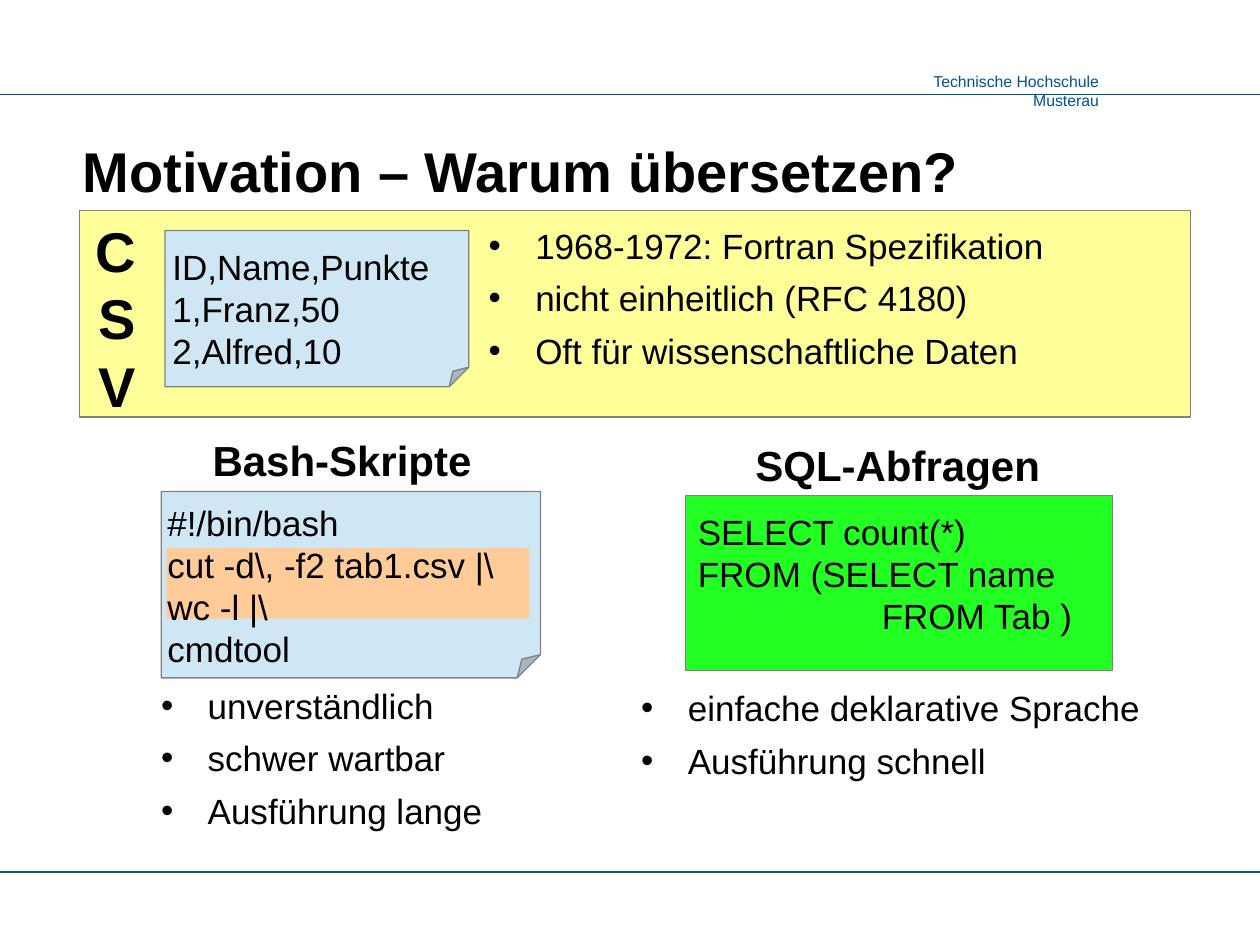
from lxml.etree import SubElement
from pptx import Presentation
from pptx.dml.color import RGBColor
from pptx.enum.shapes import MSO_CONNECTOR, MSO_SHAPE
from pptx.enum.text import MSO_ANCHOR, PP_ALIGN
from pptx.oxml.ns import qn
from pptx.util import Inches, Pt

BLUE, BLACK, GREY = "005293", "000000", "808080"
NOTE, YELLOW, ORANGE, GREEN = "CFE7F5", "FFFF99", "FFCC99", "23FF23"
LEFT, MID, RIGHT = PP_ALIGN.LEFT, PP_ALIGN.CENTER, PP_ALIGN.RIGHT


def color(code):
    return RGBColor.from_string(code)


def write(frame, lines, size=20, ink=BLACK, bold=False, align=LEFT,
          font="Arial", gap=0):
    for i, line in enumerate(lines):
        par = frame.paragraphs[0] if i == 0 else frame.add_paragraph()
        par.alignment = align
        par.space_before = Pt(gap)
        run = par.add_run()
        run.text = line
        run.font.name = font
        run.font.size = Pt(size)
        run.font.bold = bold
        run.font.color.rgb = color(ink)


def indent(par, left, first=0):
    """Set the left margin and first-line offset in inches."""
    props = par._p.get_or_add_pPr()
    props.set("marL", str(Inches(left)))
    props.set("indent", str(Inches(first)))
    return props


class Deck:
    def __init__(self):
        self.prs = Presentation()
        self.prs.slide_width = Inches(10)
        self.prs.slide_height = Inches(7.5)
        self.slide = self.prs.slides.add_slide(self.prs.slide_layouts[6])

    def text(self, x, y, w, h, *lines, anchor=MSO_ANCHOR.TOP, wrap=True,
             **style):
        box = self.slide.shapes.add_textbox(
            Inches(x), Inches(y), Inches(w), Inches(h))
        frame = box.text_frame
        frame.word_wrap = wrap
        frame.vertical_anchor = anchor
        write(frame, lines, **style)
        return frame

    def list(self, x, y, w, h, *lines):
        frame = self.text(x, y, w, h, *lines, gap=6)
        for par in frame.paragraphs:
            props = indent(par, 0.37, -0.37)
            SubElement(props, qn("a:buFont"), typeface="Arial")
            SubElement(props, qn("a:buChar"), char="•")

    def shape(self, x, y, w, h, fill, kind=MSO_SHAPE.RECTANGLE, edge=GREY):
        item = self.slide.shapes.add_shape(
            kind, Inches(x), Inches(y), Inches(w), Inches(h))
        item.shadow.inherit = False
        item.fill.solid()
        item.fill.fore_color.rgb = color(fill)
        if edge:
            item.line.color.rgb = color(edge)
            item.line.width = Pt(0)
        else:
            item.line.fill.background()
        return item

    def note(self, x, y, w, h):
        """Add a sheet whose folded corner is an eighth of its height."""
        item = self.shape(x, y, w, h, NOTE, MSO_SHAPE.FOLDED_CORNER)
        guides = next(item._element.iter(qn("a:avLst")))
        SubElement(guides, qn("a:gd"), name="adj", fmla="val 12500")

    def rule(self, y):
        """Draw a line across the whole slide."""
        line = self.slide.shapes.add_connector(
            MSO_CONNECTOR.STRAIGHT, 0, Inches(y), Inches(10), Inches(y))
        line.line.color.rgb = color(BLUE)
        line.line.width = Pt(0.75)
        SubElement(line._element.spPr, qn("a:effectLst"))


def main():
    deck = Deck()
    deck.text(6.81, 0.52, 2.01, 0.25, "Technische Hochschule Musterau",
              size=9, ink=BLUE, align=RIGHT, wrap=False)
    for y in (0.75, 6.92):
        deck.rule(y)
    deck.text(0.56, 0.5, 8.89, 1.17, "Motivation – Warum übersetzen?",
              size=32, bold=True, anchor=MSO_ANCHOR.BOTTOM)

    # CSV band
    deck.shape(0.63, 1.67, 8.82, 1.64, YELLOW)
    deck.text(0.63, 1.67, 0.55, 1.7, "CSV", size=32, bold=True, align=RIGHT)
    deck.note(1.31, 1.83, 2.41, 1.24)
    deck.text(1.27, 1.9, 2.46, 1.17,
              "ID,Name,Punkte", "1,Franz,50", "2,Alfred,10")
    deck.list(3.78, 1.73, 5.67, 1.49, "1968-1972: Fortran Spezifikation",
              "nicht einheitlich (RFC 4180)",
              "Oft für wissenschaftliche Daten")

    # Bash column
    head = {"size": 24, "bold": True, "align": MID}
    deck.text(0.71, 3.4, 4.01, 0.5, "Bash-Skripte", **head)
    deck.note(1.28, 3.9, 3.01, 1.48)
    deck.shape(1.32, 4.35, 2.88, 0.56, ORANGE, edge=None)
    deck.text(1.23, 3.93, 3.06, 1.45, "#!/bin/bash",
              "cut -d\\, -f2 tab1.csv |\\ wc -l |\\", "cmdtool")
    deck.list(1.18, 5.38, 4.03, 1.51,
              "unverständlich", "schwer wartbar", "Ausführung lange")

    # SQL column
    deck.text(5.12, 3.44, 4.01, 0.5, "SQL-Abfragen", **head)
    deck.shape(5.44, 3.93, 3.39, 1.39, GREEN)
    query = deck.text(5.44, 4, 3.34, 1.32, "SELECT count(*)",
                      "FROM (SELECT name", "FROM Tab )")
    indent(query.paragraphs[2], 1.46)
    deck.list(4.99, 5.4, 4.89, 1.49,
              "einfache deklarative Sprache", "Ausführung schnell")

    deck.prs.save("out.pptx")


if __name__ == "__main__":
    main()
